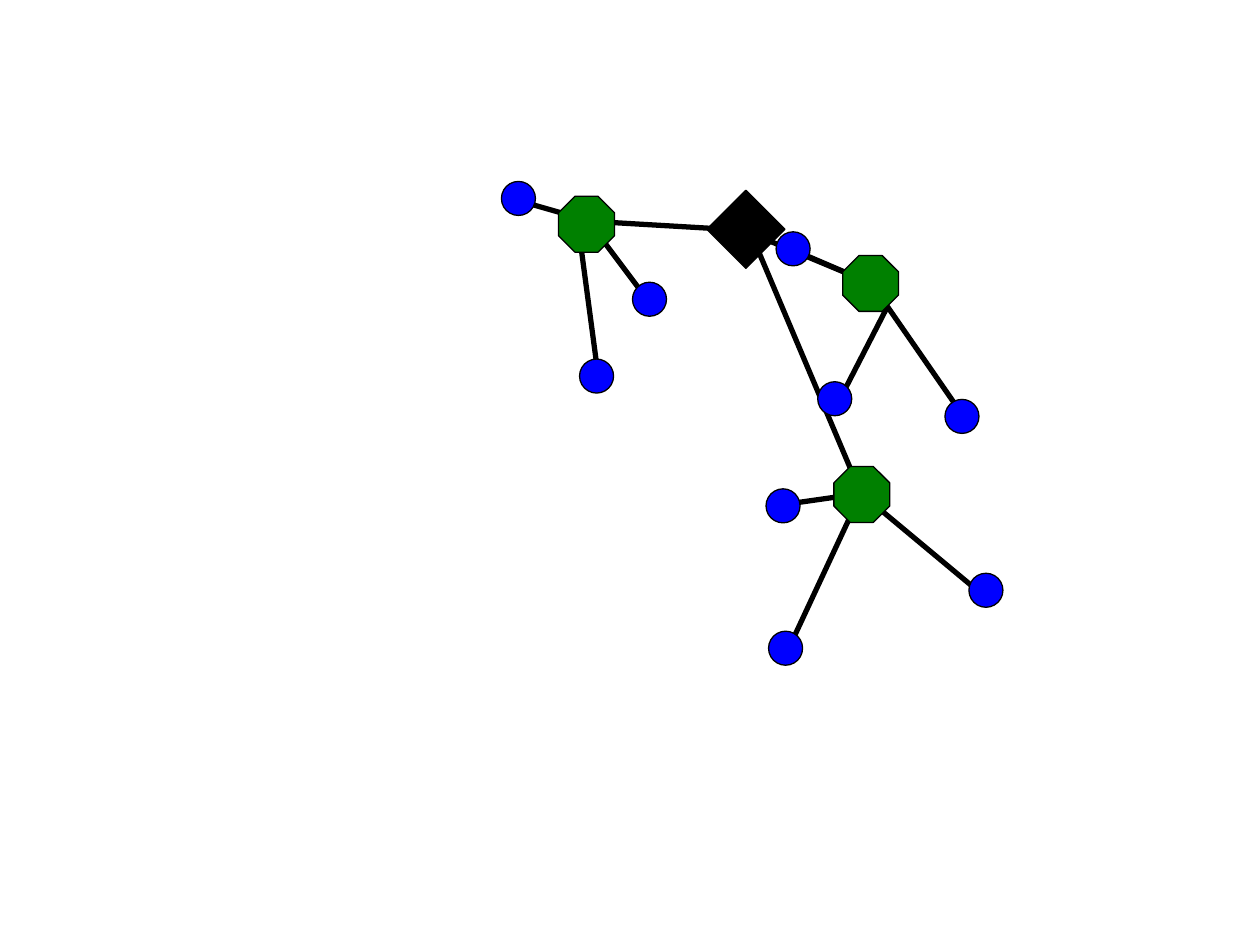
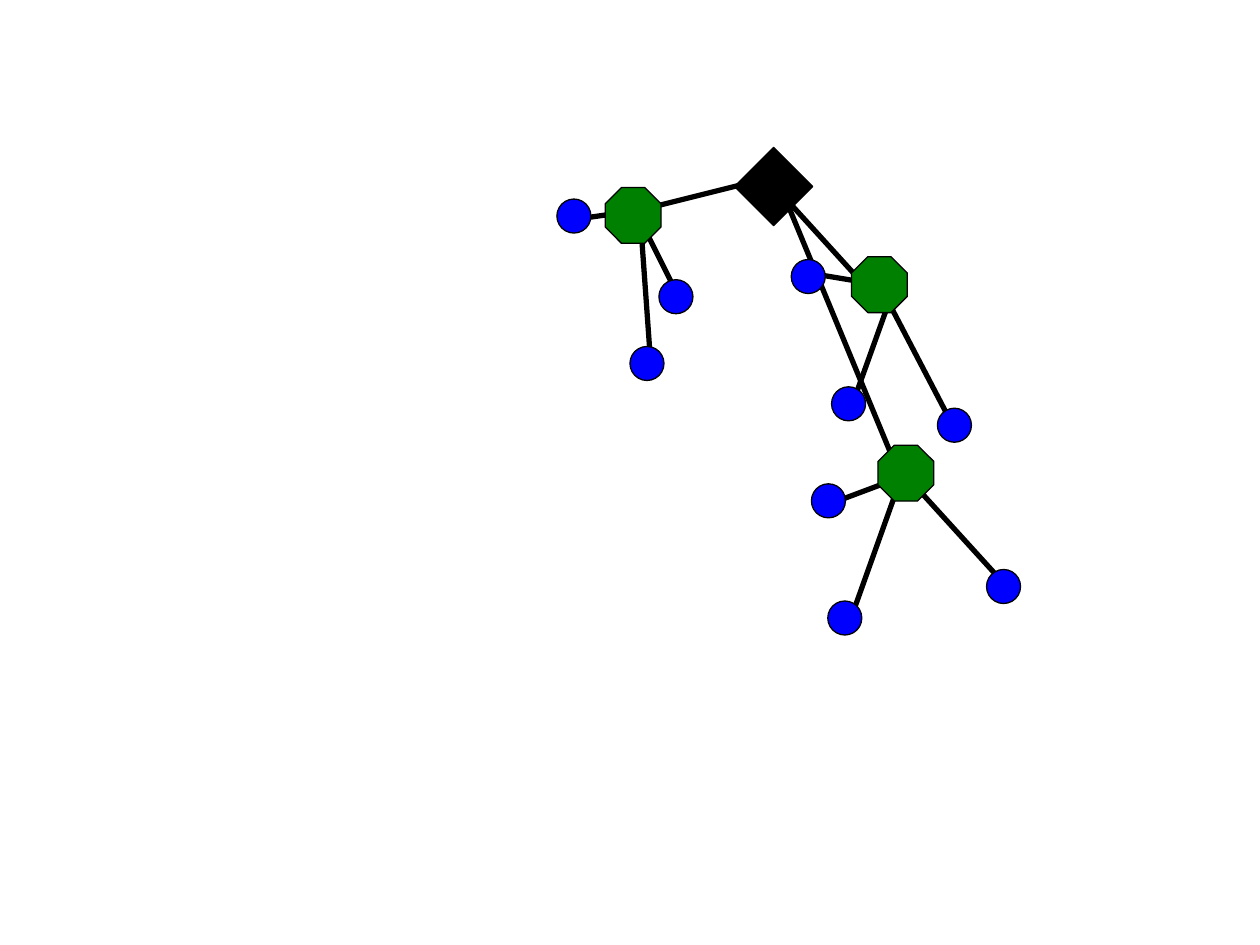
from lxml import etree
from pptx import Presentation
from pptx.dml.color import RGBColor
from pptx.enum.shapes import MSO_CONNECTOR as Connector, MSO_SHAPE as Shape
from pptx.oxml.ns import qn
from pptx.util import Inches, Pt

COLORS = {"root": "000000", "hub": "008000", "leaf": "0000FF", "line": "000000", "ground": "FFFFFF"}
KINDS = {"root": (Shape.DIAMOND, 7.44), "leaf": (Shape.FLOWCHART_CONNECTOR, 3.24), "hub": (Shape.OCTAGON, 5.32)}
COLUMNS, ROWS = 120, 90
BLANK_LAYOUT = 6

NETWORKS = [
    {
        "links": [
            ((76, 24), (83, 27)), ((84.5, 29.25), (80, 38)), ((83, 27), (92, 40)),
            ((75, 48), (82, 47)), ((82, 47), (75, 62)), ((82, 47), (94, 57)),
            ((49, 19), (56, 21)), ((56, 21), (62, 29)), ((55, 21), (57, 36)),
            ((55, 21), (72, 22)), ((83, 27), (71, 22)), ((82, 47), (71, 21)),
        ],
        "root": [(71.04, 21.84)],
        "hub": [(82.08, 47.1), (82.92, 27), (55.86, 21.36)],
        "leaf": [
            (56.82, 35.82), (61.86, 28.5), (49.38, 18.9),
            (74.58, 48.18), (74.82, 61.74), (93.9, 56.22),
            (91.62, 39.66), (75.54, 23.7), (79.5, 37.98),
        ],
    },
    {
        "links": [
            ((77, 26), (83, 27)), ((84.5, 29.25), (81, 39)), ((85, 29.5), (91, 41)),
            ((79, 48), (87, 45)), ((86, 45), (81, 59)), ((86, 45), (96, 56)),
            ((54, 21), (61, 20)), ((60, 19), (65, 29)), ((61, 21), (62, 35)),
            ((73, 17), (61, 20)), ((84, 29), (74, 18)), ((86, 46), (74, 17)),
        ],
        "root": [(73.68, 17.76)],
        "hub": [(86.28, 45.06), (83.76, 27.12), (60.3, 20.52)],
        "leaf": [
            (61.62, 34.62), (64.38, 28.26), (54.66, 20.58),
            (78.9, 47.7), (80.46, 58.86), (95.58, 55.86),
            (90.9, 40.5), (76.98, 26.34), (80.82, 38.46),
        ],
    },
]


class NetworkDeck:
    """Draws tree networks on a fine grid, one per slide."""

    def __init__(self):
        """Set up an empty presentation and its grid cell."""
        self.presentation = Presentation()
        self.presentation.slide_width = Inches(10)
        self.presentation.slide_height = Inches(7.5)
        self.column = self.presentation.slide_width / COLUMNS
        self.row = self.presentation.slide_height / ROWS
        self.slide = None

    def add_slide(self):
        """Start a blank slide."""
        self.slide = self.presentation.slides.add_slide(self.presentation.slide_layouts[BLANK_LAYOUT])
        background = self.slide.background.fill
        background.solid()
        background.fore_color.rgb = RGBColor.from_string(COLORS["ground"])

    def place(self, column, row):
        """Turn grid units into slide lengths."""
        return round(column * self.column), round(row * self.row)

    def outline(self, item, width):
        """Give a shape or connector the shared line colour."""
        item.line.color.rgb = RGBColor.from_string(COLORS["line"])
        item.line.width = Pt(width)

    def link(self, start, end):
        """Draw a thick straight line between two grid points."""
        connector = self.slide.shapes.add_connector(Connector.STRAIGHT, *self.place(*start), *self.place(*end))
        self.outline(connector, 3)
        etree.SubElement(connector.element.spPr, qn("a:effectLst"))

    def node(self, kind, center):
        """Draw a node of the given kind around its centre."""
        preset, size = KINDS[kind]
        corner = [position - size / 2 for position in center]
        shape = self.slide.shapes.add_shape(preset, *self.place(*corner), *self.place(size, size))
        shape.shadow.inherit = False
        shape.fill.solid()
        shape.fill.fore_color.rgb = RGBColor.from_string(COLORS[kind])
        self.outline(shape, 0.75)

    def network(self, network):
        """Draw one network, with its nodes above its links."""
        self.add_slide()
        for start, end in network["links"]:
            self.link(start, end)
        for kind in KINDS:
            for center in network[kind]:
                self.node(kind, center)


def main():
    """Build and save the presentation."""
    deck = NetworkDeck()
    for network in NETWORKS:
        deck.network(network)
    deck.presentation.save("out.pptx")


if __name__ == "__main__":
    main()
